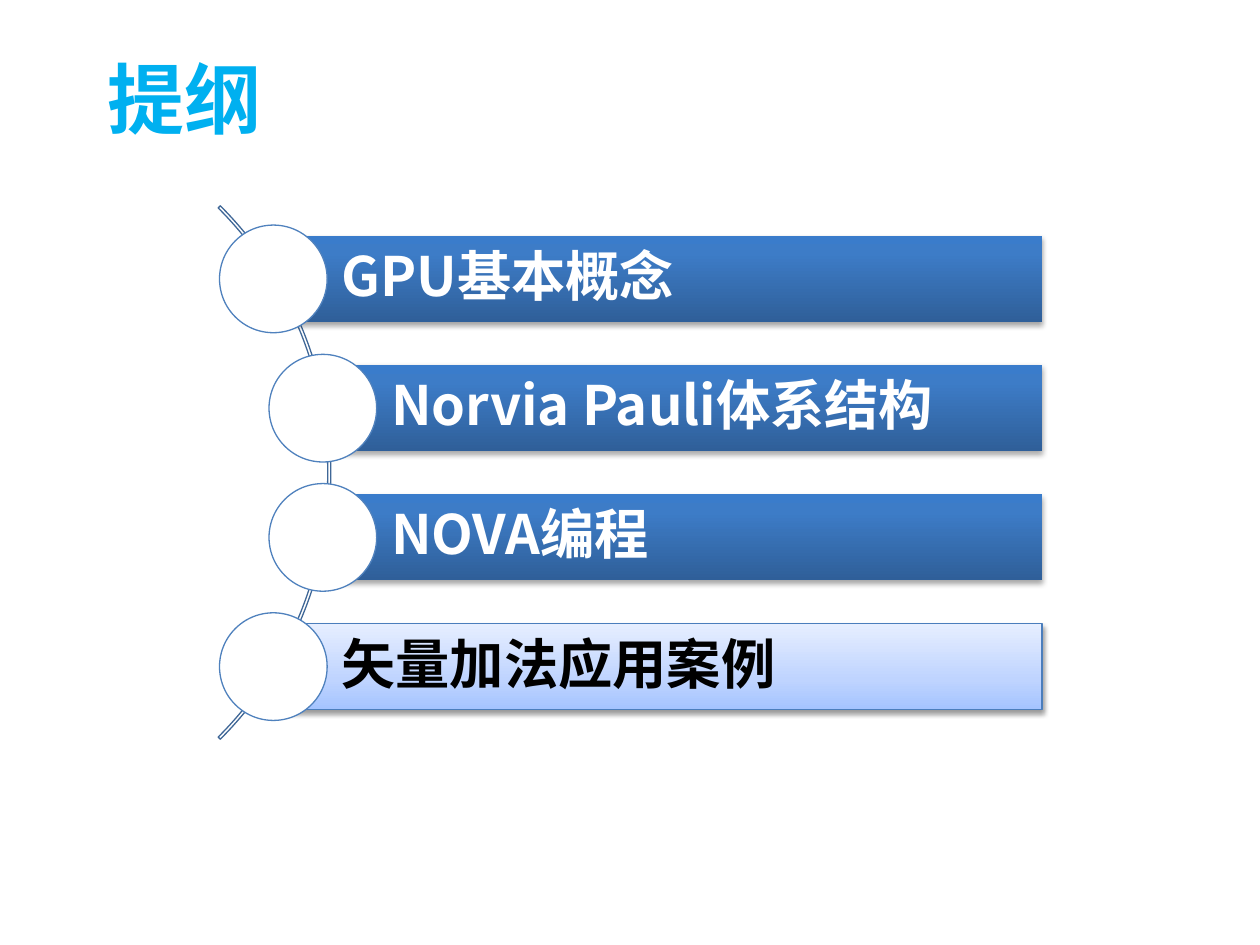
from lxml import etree
from pptx import Presentation
from pptx.dml.color import RGBColor
from pptx.enum.shapes import MSO_SHAPE
from pptx.enum.text import MSO_ANCHOR, MSO_AUTO_SIZE, PP_ALIGN
from pptx.oxml import parse_xml
from pptx.oxml.ns import qn
from pptx.util import Pt

ARC, BAR, CIRCLE = MSO_SHAPE.BLOCK_ARC, MSO_SHAPE.RECTANGLE, MSO_SHAPE.OVAL
TOP, MIDDLE = MSO_ANCHOR.TOP, MSO_ANCHOR.MIDDLE
LEFT = PP_ALIGN.LEFT
GROW = MSO_AUTO_SIZE.SHAPE_TO_FIT_TEXT

SKY = RGBColor(0x00, 0xB0, 0xF0)
WHITE = RGBColor(0xFF, 0xFF, 0xFF)
BLACK = RGBColor(0x00, 0x00, 0x00)
ARC_LINE = RGBColor(0x3F, 0x67, 0x97)
CIRCLE_LINE = RGBColor(0x4F, 0x81, 0xBD)
CURRENT_LINE = RGBColor(0x4B, 0x7E, 0xBC)
# Gradient stops: percent and colour, from bottom to top
BLUE_STOPS = [(0, RGBColor(0x2F, 0x5F, 0x99)), (80, RGBColor(0x3D, 0x7C, 0xC7)),
              (100, RGBColor(0x3A, 0x7C, 0xCB))]
PALE_STOPS = [(0, RGBColor(0xA4, 0xC4, 0xFF)), (35, RGBColor(0xBF, 0xD4, 0xFF)),
              (100, RGBColor(0xE6, 0xEE, 0xFF))]

TITLE_FONT, TOPIC_FONT = "Calibri", "Noto Sans CJK SC"
XMLNS = 'xmlns:a="http://schemas.openxmlformats.org/drawingml/2006/main"'

# Layout in points
BAR_TOP, BAR_HEIGHT, BAR_RIGHT, PITCH = 134.8, 49.2, 595.5, 73.85
OUTER_LEFT, INNER_LEFT = 156.2, 184.5
CIRCLE_SIZE = 61.5

TOPICS = [  # text runs, bar left, is the current topic
    (["GPU", "基本概念"], OUTER_LEFT, False),
    (["Norvia Pauli", "体系结构"], INNER_LEFT, False),
    (["NOVA", "编程"], INNER_LEFT, False),
    (["矢量加法应用案例"], OUTER_LEFT, True),
]


def add_outline_shape(slide, kind, left, top, width, height, line_color):
    shape = slide.shapes.add_shape(kind, Pt(left), Pt(top), Pt(width), Pt(height))
    shape.shadow.inherit = False
    shape.fill.background()
    if line_color is None:
        shape.line.fill.background()
    else:
        shape.line.color.rgb = line_color
        shape.line.width = Pt(0.75)
    return shape


def add_run(paragraph, text, font, size, color):
    run = paragraph.add_run()
    run.text = text
    run.font.name, run.font.size = font, Pt(size)
    run.font.bold = True
    run.font.color.rgb = color
    east_asian = etree.SubElement(run.font._element, qn("a:ea"))
    east_asian.set("typeface", font)


def set_gradient(shape, stops):
    marks = "".join(f'<a:gs pos="{percent * 1000}"><a:srgbClr val="{color}"/></a:gs>'
                    for percent, color in stops)
    gradient = parse_xml(f'<a:gradFill {XMLNS} rotWithShape="1"><a:gsLst>{marks}</a:gsLst>'
                         '<a:lin ang="16200000" scaled="0"/></a:gradFill>')
    properties = shape._element.spPr
    properties.replace(properties.find(qn("a:noFill")), gradient)


def set_shadow(shape, distance, opacity):
    effects = shape._element.spPr.find(qn("a:effectLst"))
    effects.append(parse_xml(
        f'<a:outerShdw {XMLNS} blurRad="{Pt(3.1)}" dist="{Pt(distance)}" dir="5400000" '
        f'rotWithShape="0"><a:srgbClr val="000000"><a:alpha val="{opacity * 1000}"/>'
        '</a:srgbClr></a:outerShdw>'))


def add_title(slide, text):
    title = slide.shapes.title
    title.left, title.top, title.width, title.height = Pt(54), Pt(26), Pt(272), Pt(60.5)
    frame = title.text_frame
    frame.vertical_anchor, frame.auto_size = TOP, GROW
    paragraph = frame.paragraphs[0]
    paragraph.alignment = LEFT
    add_run(paragraph, text, TITLE_FONT, 44, SKY)


def add_topic(slide, row, texts, left, is_current):
    top = BAR_TOP + row * PITCH
    # Bar with its heading
    bar = add_outline_shape(slide, BAR, left, top, BAR_RIGHT - left, BAR_HEIGHT,
                            CURRENT_LINE if is_current else None)
    set_gradient(bar, PALE_STOPS if is_current else BLUE_STOPS)
    set_shadow(bar, *((1.6, 38) if is_current else (1.8, 35)))
    frame = bar.text_frame
    frame.word_wrap, frame.vertical_anchor = True, MIDDLE
    frame.margin_left = Pt(39)
    frame.margin_top = frame.margin_right = frame.margin_bottom = Pt(6.2)
    paragraph = frame.paragraphs[0]
    paragraph.alignment = LEFT
    paragraph.line_spacing = 0.9
    paragraph.space_after = Pt(11)
    for text in texts:
        add_run(paragraph, text, TOPIC_FONT, 31, BLACK if is_current else WHITE)
    # Circle centred on the bar's left edge
    circle = add_outline_shape(slide, CIRCLE, left - CIRCLE_SIZE / 2,
                               top + (BAR_HEIGHT - CIRCLE_SIZE) / 2,
                               CIRCLE_SIZE, CIRCLE_SIZE, CIRCLE_LINE)
    circle.fill.solid()
    circle.fill.fore_color.rgb = WHITE


def add_spine(slide):
    spine = add_outline_shape(slide, ARC, -242, 54.5, 431, 431, ARC_LINE)
    # 315 and 45 degrees, then the thickness
    for index, value in enumerate((189, 27, 0.004)):
        spine.adjustments[index] = value


def main():
    presentation = Presentation()
    presentation.slide_width, presentation.slide_height = Pt(720), Pt(540)
    slide = presentation.slides.add_slide(presentation.slide_layouts[5])
    add_title(slide, "提纲")
    add_spine(slide)
    for row, topic in enumerate(TOPICS):
        add_topic(slide, row, *topic)
    presentation.save("out.pptx")


if __name__ == "__main__":
    main()
